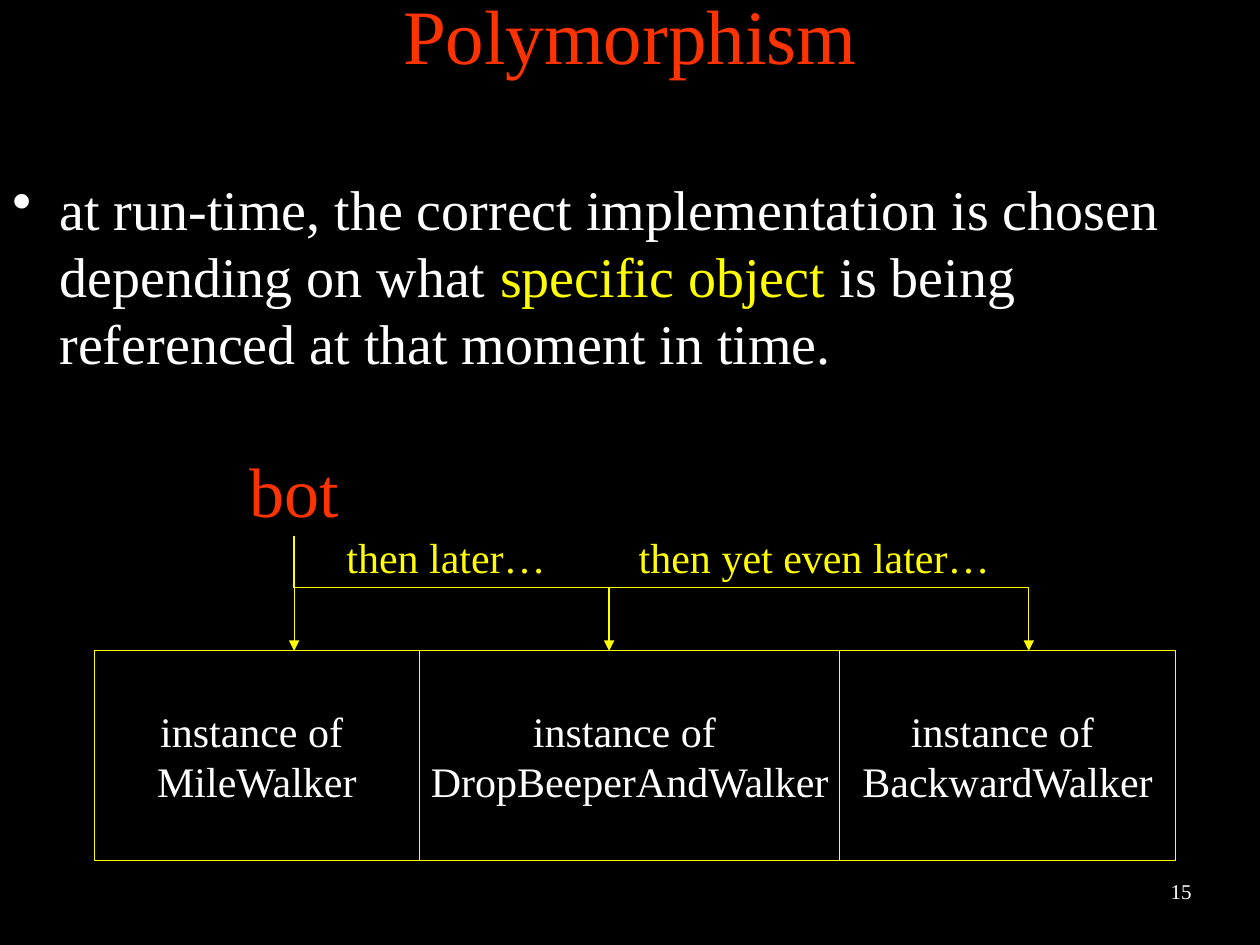
from dataclasses import dataclass

from lxml.etree import SubElement
from pptx import Presentation
from pptx.dml.color import RGBColor as Rgb
from pptx.enum.shapes import MSO_CONNECTOR as Link, MSO_SHAPE as Shape
from pptx.enum.text import MSO_ANCHOR as Anchor, PP_ALIGN as Align
from pptx.oxml.ns import qn
from pptx.util import Cm, Pt


@dataclass(frozen=True)
class Theme:
    font: str = "Times New Roman"
    back: Rgb = Rgb(0, 0, 0)
    ink: Rgb = Rgb(255, 255, 255)
    red: Rgb = Rgb(255, 51, 0)
    gold: Rgb = Rgb(255, 255, 0)
    title: int = 44
    name: int = 40
    body: int = 32
    label: int = 24
    page: int = 12
    line: float = 0.75


def write(shape, *parts, size, color, font, align=Align.CENTER,
          anchor=Anchor.TOP, wrap=True, bullet=None):
    """Fill a shape with parts: plain strings or (string, color) pairs."""
    frame = shape.text_frame
    frame.word_wrap = wrap
    frame.vertical_anchor = anchor
    para = frame.paragraphs[0]
    para.alignment = align
    if bullet:
        props = para._p.get_or_add_pPr()
        props.set("marL", str(Cm(0.95)))
        props.set("indent", str(-Cm(0.95)))
        SubElement(props, qn("a:buChar")).set("char", bullet)
    for part in parts:
        text, tint = (part, color) if isinstance(part, str) else part
        for i, row in enumerate(text.split("\n")):
            if i:
                para.add_line_break()
            run = para.add_run()
            run.text = row
            run.font.name = font
            run.font.size = Pt(size)
            run.font.color.rgb = tint
    return frame


class Board:
    def __init__(self, slide, theme):
        self.slide, self.theme = slide, theme
        fill = slide.background.fill
        fill.solid()
        fill.fore_color.rgb = theme.back

    def text(self, x, y, w, h, *parts, **style):
        box = self.slide.shapes.add_textbox(Cm(x), Cm(y), Cm(w), Cm(h))
        write(box, *parts, font=self.theme.font, **style)
        return box

    def stroke(self, item, arrow=False):
        item.line.color.rgb = self.theme.gold
        item.line.width = Pt(self.theme.line)
        if arrow:
            line = item.line._get_or_add_ln()
            SubElement(line, qn("a:tailEnd")).set("type", "triangle")

    def rect(self, x, y, w, h, text):
        box = self.slide.shapes.add_shape(
            Shape.RECTANGLE, Cm(x), Cm(y), Cm(w), Cm(h))
        box.shadow.inherit = False
        box.fill.solid()
        box.fill.fore_color.rgb = self.theme.back
        self.stroke(box)
        write(box, text, size=self.theme.label, color=self.theme.ink,
              font=self.theme.font, anchor=Anchor.MIDDLE, wrap=False)

    def drop(self, box, x, y):
        """Straight arrow from the bottom of a box."""
        line = self.slide.shapes.add_connector(
            Link.STRAIGHT, Cm(x), box.top + box.height, Cm(x), Cm(y))
        line.begin_connect(box, 2)
        self.stroke(line, arrow=True)
        SubElement(line._element.spPr, qn("a:effectLst"))

    def bend(self, *points):
        """Open arrow through the given points."""
        first, *rest = [(Cm(x), Cm(y)) for x, y in points]
        pen = self.slide.shapes.build_freeform(*first)
        pen.add_line_segments(rest, close=False)
        path = pen.convert_to_shape()
        path.shadow.inherit = False
        path.fill.background()
        self.stroke(path, arrow=True)


def main():
    deck = Presentation()
    deck.slide_width, deck.slide_height = Cm(25.4), Cm(19.05)
    look = Theme()
    board = Board(deck.slides.add_slide(deck.slide_layouts[6]), look)

    title = board.text(0, 0, 25.4, 3.18, "Polymorphism", size=look.title,
                       color=look.red, anchor=Anchor.BOTTOM)
    title.text_frame.margin_top = 0
    title.text_frame.margin_bottom = Cm(1.57)
    board.text(
        0, 3.39, 25.4, 5.08,
        "at run-time, the correct implementation is chosen depending on what ",
        ("specific object", look.gold),
        " is being referenced at that moment in time.",
        size=look.body, color=look.ink, align=Align.LEFT, bullet="•")

    top, left = 13.12, 1.9
    for name, width in (("MileWalker", 6.56), ("DropBeeperAndWalker", 8.47),
                        ("BackwardWalker", 6.77)):
        board.rect(left, top, width, 4.23, f"instance of \n{name}")
        left += width

    bot = board.text(4.45, 8.89, 2.96, 1.91, "bot",
                     size=look.name, color=look.red)
    stem, start, turn = 5.93, 10.8, 11.85
    board.drop(bot, stem, top)
    for end, x, width, label in ((12.28, 5.5, 6.99, "then later…"),
                                 (20.74, 12.07, 8.69, "then yet even later…")):
        board.bend((stem, start), (stem, turn), (end, turn), (end, top))
        board.text(x, 10.58, width, 1.27, label,
                   size=look.label, color=look.gold)

    board.text(22.86, 17.58, 1.9, 0.76, "15", size=look.page, color=look.ink)
    deck.save("out.pptx")


if __name__ == "__main__":
    main()
